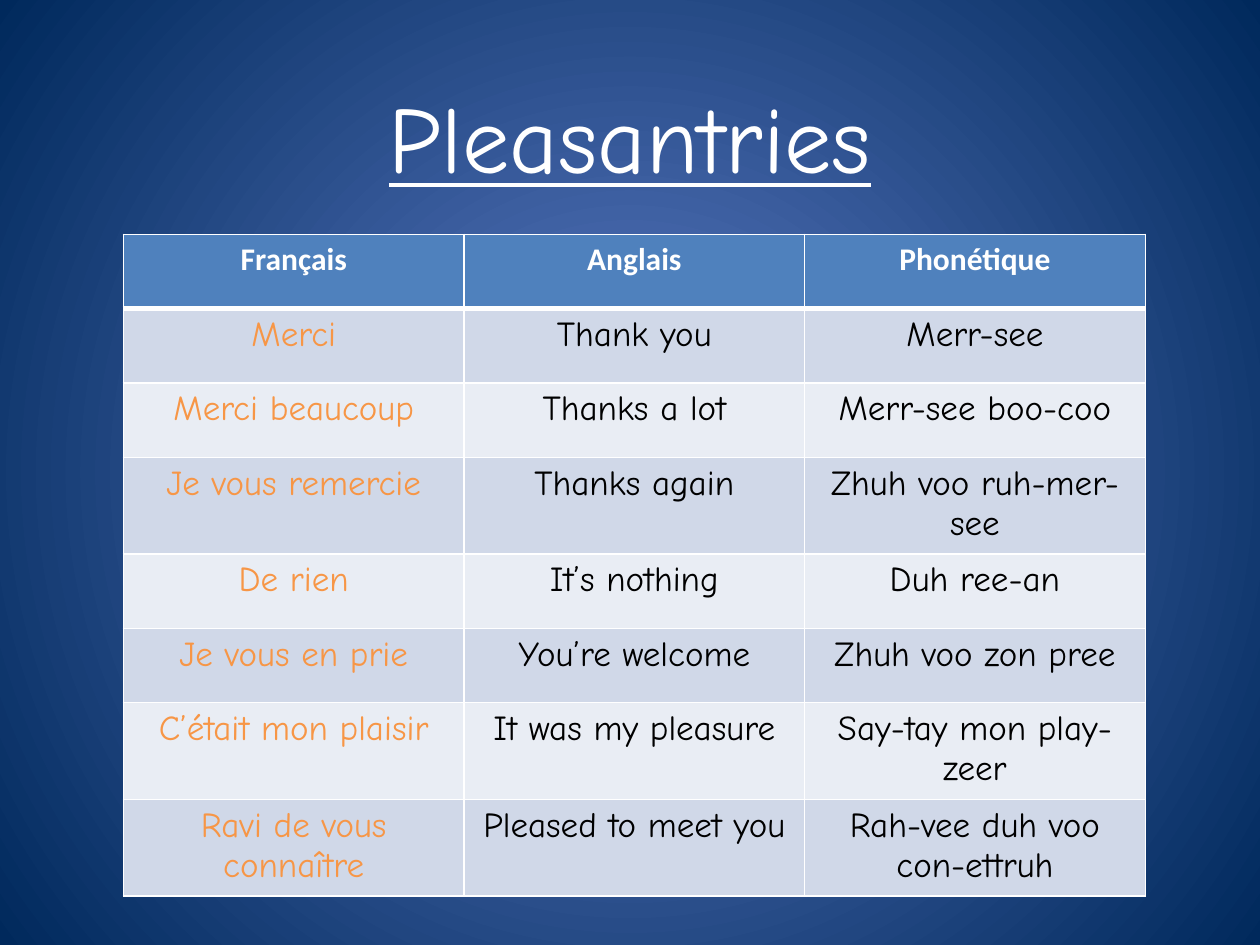
"""Build a French vocabulary slide with a title and a table of pleasantries."""
from lxml.etree import SubElement
from pptx import Presentation
from pptx.dml.color import RGBColor as RGB
from pptx.enum.text import MSO_ANCHOR as ANCHOR, PP_ALIGN as ALIGN
from pptx.oxml.ns import qn
from pptx.util import Inches, Pt

WHITE = RGB(0xFF, 0xFF, 0xFF)
BLACK = RGB(0x00, 0x00, 0x00)
ORANGE = RGB(0xF7, 0x96, 0x46)
HEADER = RGB(0x4F, 0x81, 0xBD)
BANDS = (RGB(0xE9, 0xED, 0xF4), RGB(0xD0, 0xD8, 0xE8))
GLOW = RGB(0x5E, 0x7C, 0xC5)
NAVY = RGB(0x00, 0x29, 0x5C)

ROWS = [
    ("Français", "Anglais", "Phonétique"),
    ("Merci", "Thank you", "Merr-see"),
    ("Merci beaucoup", "Thanks a lot", "Merr-see boo-coo"),
    ("Je vous remercie", "Thanks again", "Zhuh voo ruh-mer-see"),
    ("De rien", "It’s nothing", "Duh ree-an"),
    ("Je vous en prie", "You’re welcome", "Zhuh voo zon pree"),
    ("C’était mon plaisir", "It was my pleasure", "Say-tay mon play-zeer"),
    ("Ravi de vous connaître", "Pleased to meet you", "Rah-vee duh voo con-ettruh"),
]


def write(tf, text, size=20, font="Comic Neue", color=BLACK, bold=False, underline=False):
    p = tf.paragraphs[0]
    p.alignment = ALIGN.CENTER
    r = p.add_run()
    r.text = text
    f = r.font
    f.size, f.name, f.bold, f.underline = Pt(size), font, bold, underline
    f.color.rgb = color


class Deck:
    def __init__(self, s, line=WHITE):
        self.s, self.line = s, line

    def background(self, inner, outer):
        fill = self.s.background.fill
        fill.gradient()
        for stop, color in zip(fill.gradient_stops, (inner, outer)):
            stop.color.rgb = color
        lin = self.s.element.xpath(".//p:bg//a:lin")[0]
        grad = lin.getparent()
        grad.remove(lin)
        circle = SubElement(grad, qn("a:path"), path="circle")
        SubElement(circle, qn("a:fillToRect"), **dict.fromkeys("ltrb", "50000"))

    def title(self, text, x, y, w, h):
        sp = self.s.shapes.add_textbox(Inches(x), Inches(y), Inches(w), Inches(h))
        tf = sp.text_frame
        tf.word_wrap = True
        tf.vertical_anchor = ANCHOR.MIDDLE
        write(tf, text, size=54, color=WHITE, underline=True)

    def borders(self, cell, top=1, bottom=1):
        tc_pr = cell._tc.get_or_add_tcPr()
        for side, width in (("L", 1), ("R", 1), ("T", top), ("B", bottom)):
            ln = SubElement(tc_pr, qn(f"a:ln{side}"), w=str(Pt(width)))
            SubElement(SubElement(ln, qn("a:solidFill")), qn("a:srgbClr"), val=str(self.line))

    def table(self, rows, x, y, w, h):
        sp = self.s.shapes.add_table(
            len(rows), len(rows[0]), Inches(x), Inches(y), Inches(w), Inches(h))
        for i, row in enumerate(rows):
            for j, text in enumerate(row):
                cell = sp.table.cell(i, j)
                self.borders(cell, top=3 if i == 1 else 1, bottom=3 if i == 0 else 1)
                cell.fill.solid()
                cell.fill.fore_color.rgb = BANDS[i % 2] if i else HEADER
                if i == 0:
                    write(cell.text_frame, text, size=18, font="Calibri", color=WHITE, bold=True)
                else:
                    write(cell.text_frame, text, color=BLACK if j else ORANGE)


def main():
    prs = Presentation()
    prs.slide_width, prs.slide_height = Inches(10), Inches(7.5)
    deck = Deck(prs.slides.add_slide(prs.slide_layouts[6]))
    deck.background(GLOW, NAVY)
    deck.title("Pleasantries", 0.5, 0.45, 9, 1.25)
    deck.table(ROWS, 0.98, 1.86, 8.11, 4.72)
    prs.save("out.pptx")


if __name__ == "__main__":
    main()
